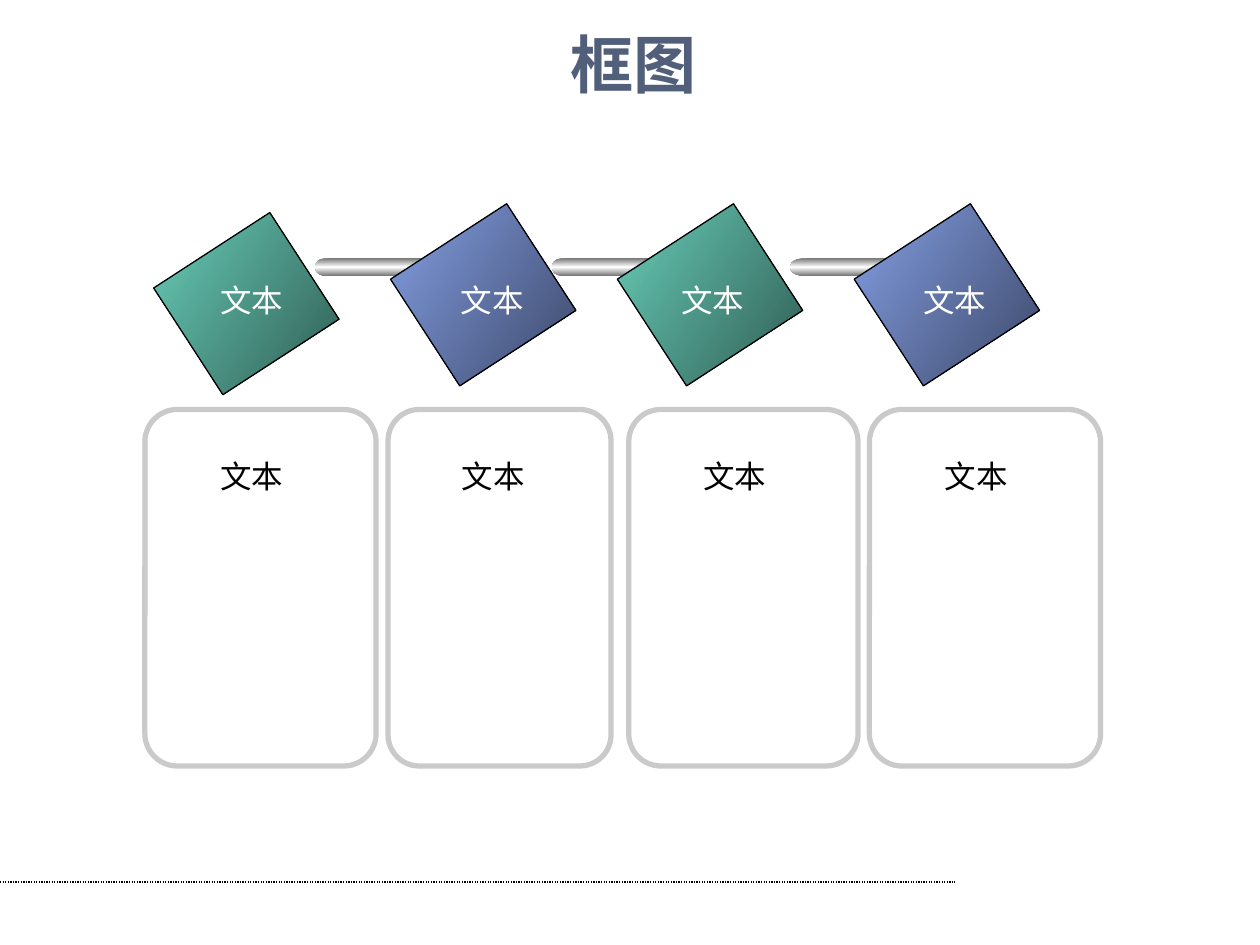
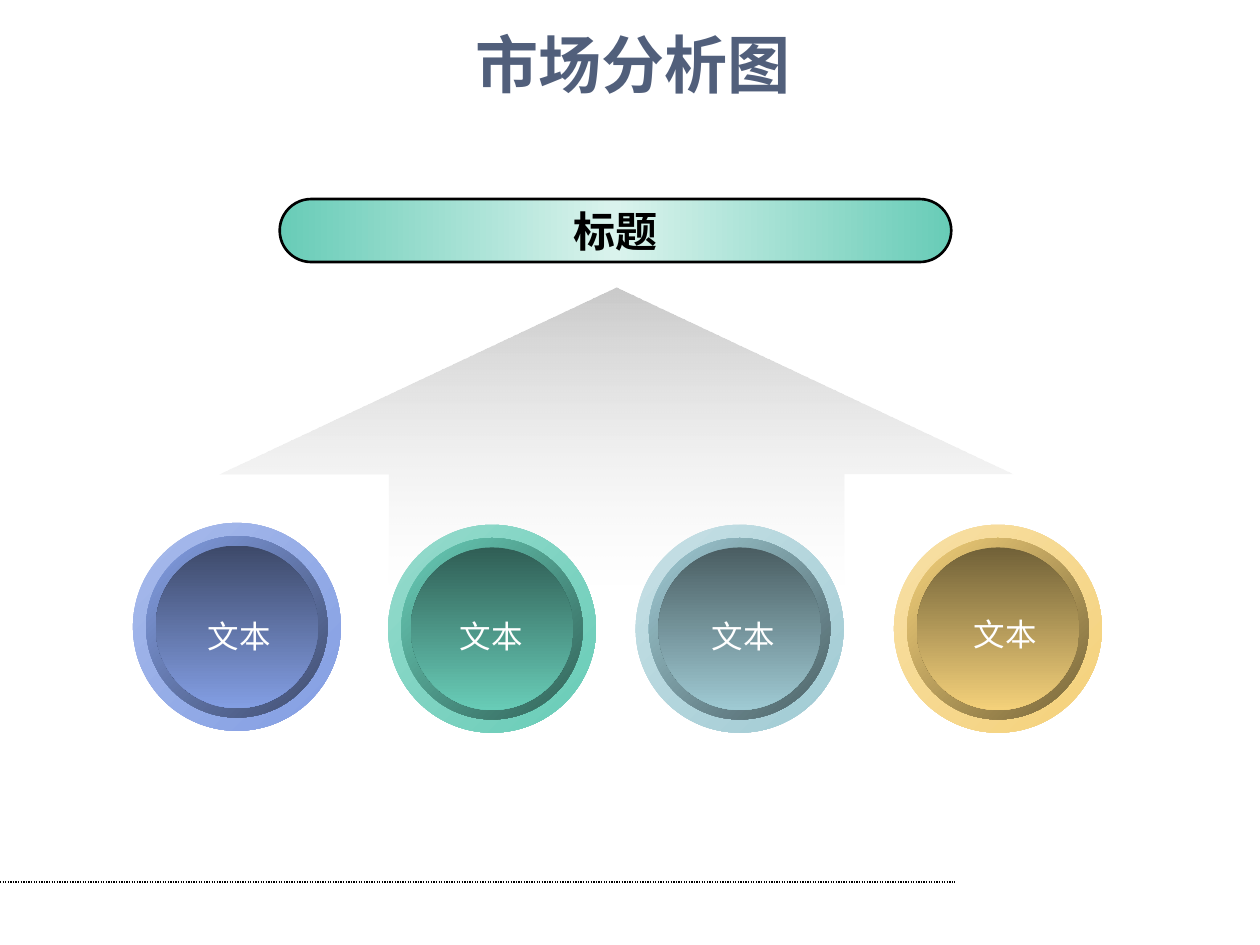
from pptx import Presentation
from pptx import util as u
from pptx.dml.color import RGBColor
from pptx.enum import dml, shapes, text
from pptx.oxml import parse_xml
from pptx.oxml.ns import nsdecls, qn

COLOURS = {
    "title": "515F7B", "ink": "000000", "paper": "FFFFFF",
    "frame": "CACACA", "mist": "EDEDED", "steel": "767676",
    "green": "68CCB7", "green pale": "96DBCD", "green deep": "336359",
    "green dark": "305E55", "green mint": "DAF3ED",
    "blue": "839EE3", "blue pale": "A8BBEB", "blue deep": "404D6E", "blue dark": "3D4969",
    "teal": "9FCAD3", "teal pale": "C8E1E6", "teal deep": "4D6267", "teal dark": "4A5D62",
    "gold": "F4D17A", "gold pale": "F8E0A6", "gold deep": "77663B", "gold dark": "716138",
}
FONT = "Arial"
KIND = shapes.MSO_SHAPE
LABEL = "文本"
LABEL_W, LABEL_H = 7, 4

deck = Presentation()
deck.slide_width, deck.slide_height = u.Inches(10), u.Inches(7.5)
COL = deck.slide_width // 100  # the grid has 100 columns
ROW = deck.slide_height // 75  # and 75 rows


def add_part(slide, kind, x, y, w, h, stops=(), angle=0, outline=None, width=0.74):
    """Add a shape on the grid; stops are (percent, colour name[, opacity])."""
    part = slide.shapes.add_shape(kind, *(int(n) for n in (x * COL, y * ROW, w * COL, h * ROW)))
    part.shadow.inherit = False
    part.fill.background()
    if stops:
        marks = ""
        for at, name, *opacity in stops:
            alpha = f'<a:alpha val="{opacity[0] * 1000}"/>' if opacity else ""
            marks += (f'<a:gs pos="{at * 1000}"><a:srgbClr val="{COLOURS[name]}">'
                      f'{alpha}</a:srgbClr></a:gs>')
        gradient = parse_xml(f'<a:gradFill {nsdecls("a")} rotWithShape="0"><a:gsLst>{marks}</a:gsLst>'
                             f'<a:lin ang="{angle * 60000}" scaled="0"/></a:gradFill>')
        properties = part._element.spPr
        properties.replace(properties.find(qn("a:noFill")), gradient)
    if outline:
        part.line.color.rgb = RGBColor.from_string(COLOURS[outline])
        part.line.width = u.Pt(width)
    else:
        part.line.fill.background()
    return part


def write(holder, words, size=18, colour="paper", bold=False, centred=False):
    """Set one line of text in a box or shape."""
    frame = holder.text_frame
    frame.text = words
    frame.word_wrap = False
    line = frame.paragraphs[0]
    if centred:
        frame.vertical_anchor = text.MSO_ANCHOR.MIDDLE
        line.alignment = text.PP_ALIGN.CENTER
    font = line.runs[0].font
    font.name, font.size, font.bold = FONT, u.Pt(size), bold
    font.color.rgb = RGBColor.from_string(COLOURS[colour])


# Shared title and footer rule
pages = []
for heading in ("框图", "市场分析图"):
    page = deck.slides.add_slide(deck.slide_layouts[6])
    title = page.shapes.add_textbox(5 * COL, int(2.5 * ROW), int(90.5 * COL), 5 * ROW)
    write(title, heading, 36, "title", bold=True, centred=True)
    title.text_frame.word_wrap = True
    rule = page.shapes.add_connector(shapes.MSO_CONNECTOR.STRAIGHT, 0, 70 * ROW, int(75.8 * COL), 70 * ROW)
    rule.line.color.rgb = RGBColor.from_string(COLOURS["ink"])
    rule.line.width = u.Pt(0.74)
    rule.line.dash_style = dml.MSO_LINE.ROUND_DOT
    rule._element.spPr.append(parse_xml(f'<a:effectLst {nsdecls("a")}/>'))
    pages.append(page)
flow, market = pages

# Flow: four outlined cards
for x, w in ((11.5, 18.35), (30.8, 17.7), (49.9, 18.2), (69, 18.35)):
    card = add_part(flow, KIND.ROUNDED_RECTANGLE, x, 32.5, w, 28.3, outline="frame", width=3)
    card.adjustments[0] = 0.14

# Flow: metal rods, each running behind the next tile
metal = ((0, "steel"), (50, "paper"), (100, "steel"))
for x, stretch in ((25, 1), (43.8, 1), (62.7, 1.3)):
    add_part(flow, KIND.OVAL, x, 20.5, 1.7 * stretch, 1.4, metal, 90)
    add_part(flow, KIND.RECTANGLE, x + 0.95 * stretch, 20.5, 8.5 * stretch, 1.4, metal, 90)

# Flow: tilted tiles
for x, y, hue in ((14.5, 18.6, "green"), (33.3, 17.9, "blue"), (51.3, 17.9, "green"), (70.1, 17.9, "blue")):
    tile = add_part(flow, KIND.RECTANGLE, x, y, 10.1, 11, ((0, hue), (100, hue + " dark")), 33, "ink")
    tile.rotation = 57

# Market: arrow from the circles up to the heading bar
arrow = add_part(market, KIND.UP_ARROW, 17.4, 22.8, 63, 23.6, ((0, "frame"), (100, "mist", 0)), 90)
arrow.adjustments[0], arrow.adjustments[1] = 0.573, 0.628
bar = add_part(market, KIND.ROUNDED_RECTANGLE, 22.2, 15.8, 53.3, 5,
               ((0, "green"), (50, "green mint"), (100, "green")), 0, "ink", 1.5)
bar.adjustments[0] = 0.5
write(bar, "标题", 24, "ink", bold=True, centred=True)

# Market: three concentric discs per circle
outer = 16.5
for x, y, hue in ((10.55, 41.5, "blue"), (30.8, 41.65, "green"), (50.45, 41.65, "teal"), (70.95, 41.65, "gold")):
    for size, start, end, angle in ((outer, " pale", "", 45), (14.4, "", " deep", 45), (12.9, " dark", "", 90)):
        inset = (outer - size) / 2
        add_part(market, KIND.OVAL, x + inset, y + inset, size, size,
                 ((0, hue + start), (100, hue + end)), angle)

# Labels on tiles, cards and circles
labels = [(flow, x, 21.8, "paper") for x in (16.5, 35.6, 53.1, 72.3)]
labels += [(flow, 16.5 + 19.17 * i, 35.8, "ink") for i in range(4)]
labels += [(market, x, y, "paper") for x, y in ((15.5, 48.5), (35.5, 48.5), (55.5, 48.5), (76.3, 48.3))]
for page, x, y, colour in labels:
    label = page.shapes.add_textbox(int(x * COL), int(y * ROW), LABEL_W * COL, LABEL_H * ROW)
    write(label, LABEL, colour=colour)

deck.save("out.pptx")
